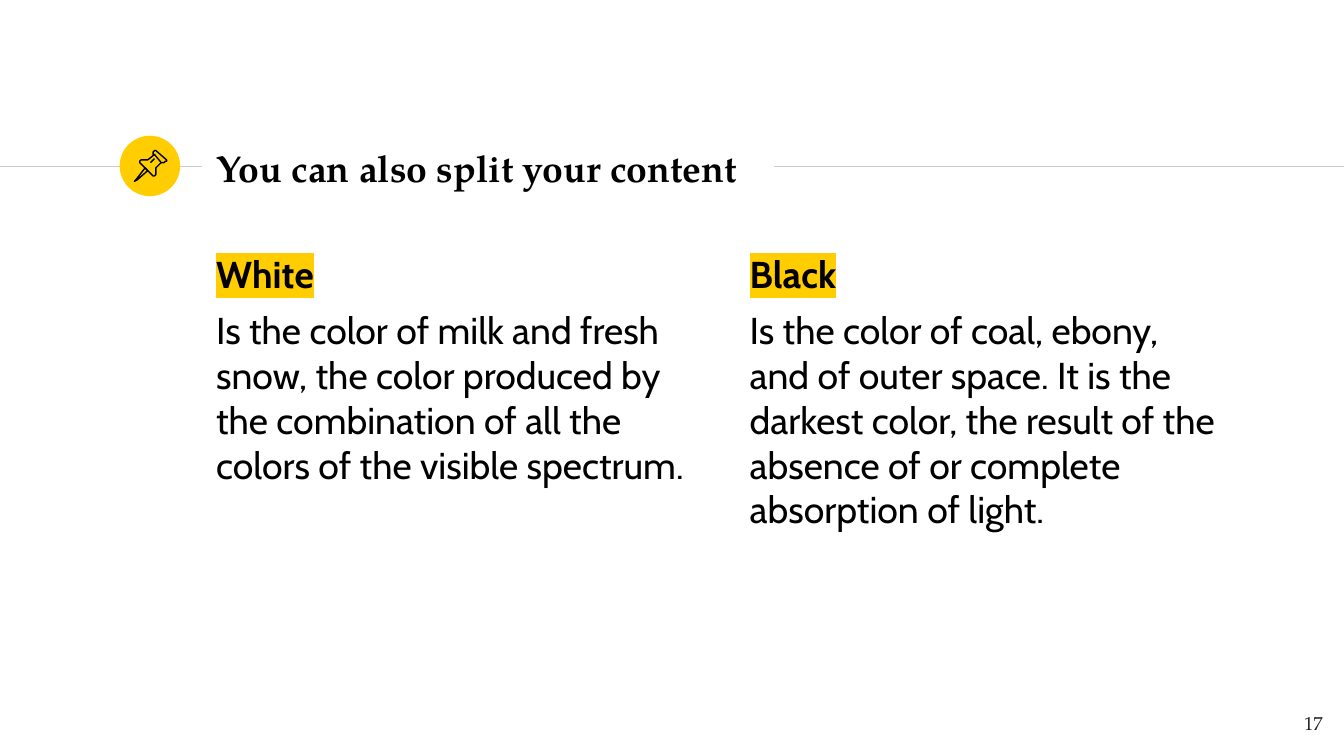
from lxml.etree import SubElement
from pptx import Presentation
from pptx.dml.color import RGBColor
from pptx.enum.shapes import MSO_CONNECTOR, MSO_SHAPE
from pptx.enum.text import MSO_ANCHOR, PP_ALIGN
from pptx.oxml.ns import qn
from pptx.util import Inches, Pt

BLACK, YELLOW, GRAY, DARK = "000000", "FFCD00", "CCCCCC", "1D1D1B"
SERIF, SANS = "TeX Gyre Pagella", "Cabin"


def color(value):
    return RGBColor.from_string(value)


def write(paragraph, text, font=SANS, size=20, fill=BLACK, bold=False,
          highlight=None, align=PP_ALIGN.LEFT, before=0):
    paragraph.alignment = align
    paragraph.space_before = Pt(before)
    run = paragraph.add_run()
    run.text = text
    run.font.size = Pt(size)
    run.font.bold = bold
    run.font.color.rgb = color(fill)
    if highlight:
        mark = SubElement(run.font._element, qn("a:highlight"))
        SubElement(mark, qn("a:srgbClr"), val=highlight)
    run.font.name = font


class SlideBuilder:
    line_width = Pt(0.75)
    inset = Inches(0.1)

    def __init__(self, slide):
        self.slide = slide
        self.shapes = slide.shapes

    def frame(self, shape, anchor=MSO_ANCHOR.TOP):
        frame = shape.text_frame
        frame.word_wrap = True
        frame.vertical_anchor = anchor
        frame.margin_left = frame.margin_right = self.inset
        frame.margin_top = frame.margin_bottom = self.inset
        return frame

    def title(self, text, left, top, width, height):
        title = self.shapes.title
        title.left, title.top = Inches(left), Inches(top)
        title.width, title.height = Inches(width), Inches(height)
        frame = self.frame(title, MSO_ANCHOR.MIDDLE)
        write(frame.paragraphs[0], text, font=SERIF, bold=True)

    def text_box(self, left, top, width, height):
        box = self.shapes.add_textbox(
            Inches(left), Inches(top), Inches(width), Inches(height))
        return self.frame(box)

    def column(self, left, heading, body):
        frame = self.text_box(left, 1.77, 3.74, 3.53)
        write(frame.paragraphs[0], heading, bold=True, highlight=YELLOW)
        write(frame.add_paragraph(), body, before=6)

    def rule(self, start, end, y):
        line = self.shapes.add_connector(
            MSO_CONNECTOR.STRAIGHT, Inches(start), Inches(y), Inches(end), Inches(y))
        line.line.color.rgb = color(GRAY)
        line.line.width = self.line_width
        SubElement(line._element.spPr, qn("a:effectLst"))

    def circle(self, left, top, size):
        circle = self.shapes.add_shape(
            MSO_SHAPE.OVAL, Inches(left), Inches(top), Inches(size), Inches(size))
        circle.shadow.inherit = False
        circle.fill.solid()
        circle.fill.fore_color.rgb = color(YELLOW)
        circle.line.fill.background()

    def outline(self, points, close=False):
        corners = [(Inches(x), Inches(y)) for x, y in points]
        builder = self.shapes.build_freeform(*corners[0])
        builder.add_line_segments(corners[1:], close=close)
        shape = builder.convert_to_shape()
        shape.shadow.inherit = False
        shape.fill.background()
        shape.line.color.rgb = color(BLACK)
        shape.line.width = self.line_width


def main():
    # Widescreen slide, 16:9
    presentation = Presentation()
    presentation.slide_width = Inches(10)
    presentation.slide_height = Inches(10) * 9 // 16
    slide = presentation.slides.add_slide(presentation.slide_layouts[5])
    builder = SlideBuilder(slide)

    # Header: rules, badge and title
    builder.rule(0, 1.5, 1.24)
    builder.circle(0.89, 1.01, 0.45)
    builder.rule(5.76, 10, 1.24)
    builder.title("You can also split your content", 1.51, 1.01, 4.24, 0.48)

    # Pushpin: needle, cap, body and highlight
    builder.outline([(1.08, 1.25), (1.01, 1.34), (1, 1.35), (1.02, 1.34),
                     (1.1, 1.27)], close=True)
    builder.outline([(1.15, 1.15), (1.2, 1.21), (1.22, 1.21), (1.23, 1.2),
                     (1.24, 1.2), (1.24, 1.19), (1.16, 1.12), (1.15, 1.12),
                     (1.14, 1.13), (1.14, 1.15)], close=True)
    builder.outline([(1.15, 1.15), (1.1, 1.19), (1.08, 1.19), (1.05, 1.19),
                     (1.04, 1.2), (1.04, 1.21), (1.14, 1.31), (1.15, 1.31),
                     (1.16, 1.3), (1.16, 1.25), (1.2, 1.21)])
    builder.outline([(1.12, 1.21), (1.15, 1.18)])

    # Two columns of content
    builder.column(1.51, "White",
                   "Is the color of milk and fresh snow, the color produced by "
                   "the combination of all the colors of the visible spectrum.")
    builder.column(5.48, "Black",
                   "Is the color of coal, ebony, and of outer space. It is the "
                   "darkest color, the result of the absence of or complete "
                   "absorption of light.")

    # Page number
    number = builder.text_box(9.34, 5.21, 0.6, 0.41)
    write(number.paragraphs[0], "17", font=SERIF, size=10, fill=DARK,
          align=PP_ALIGN.RIGHT)

    presentation.save("out.pptx")


if __name__ == "__main__":
    main()
